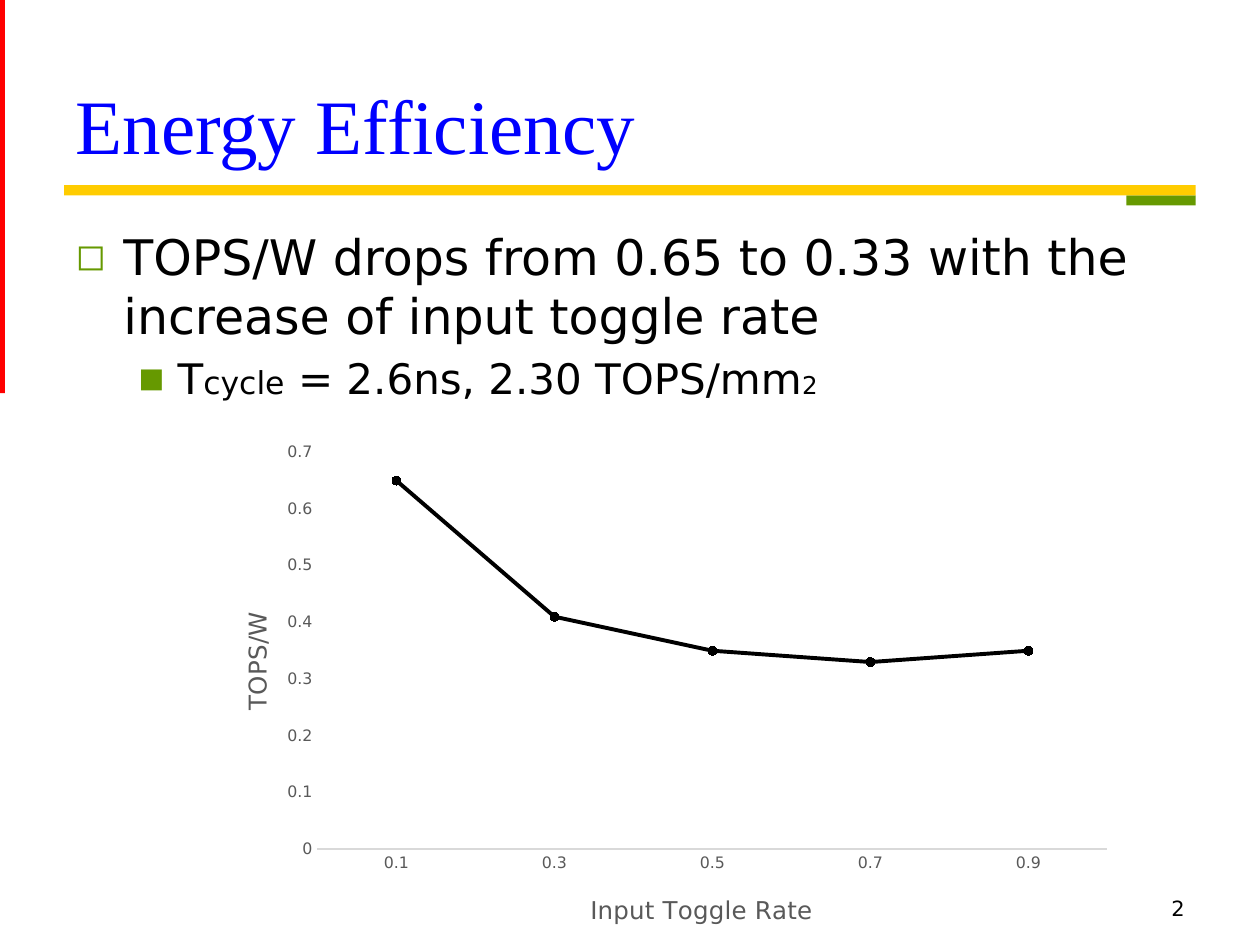
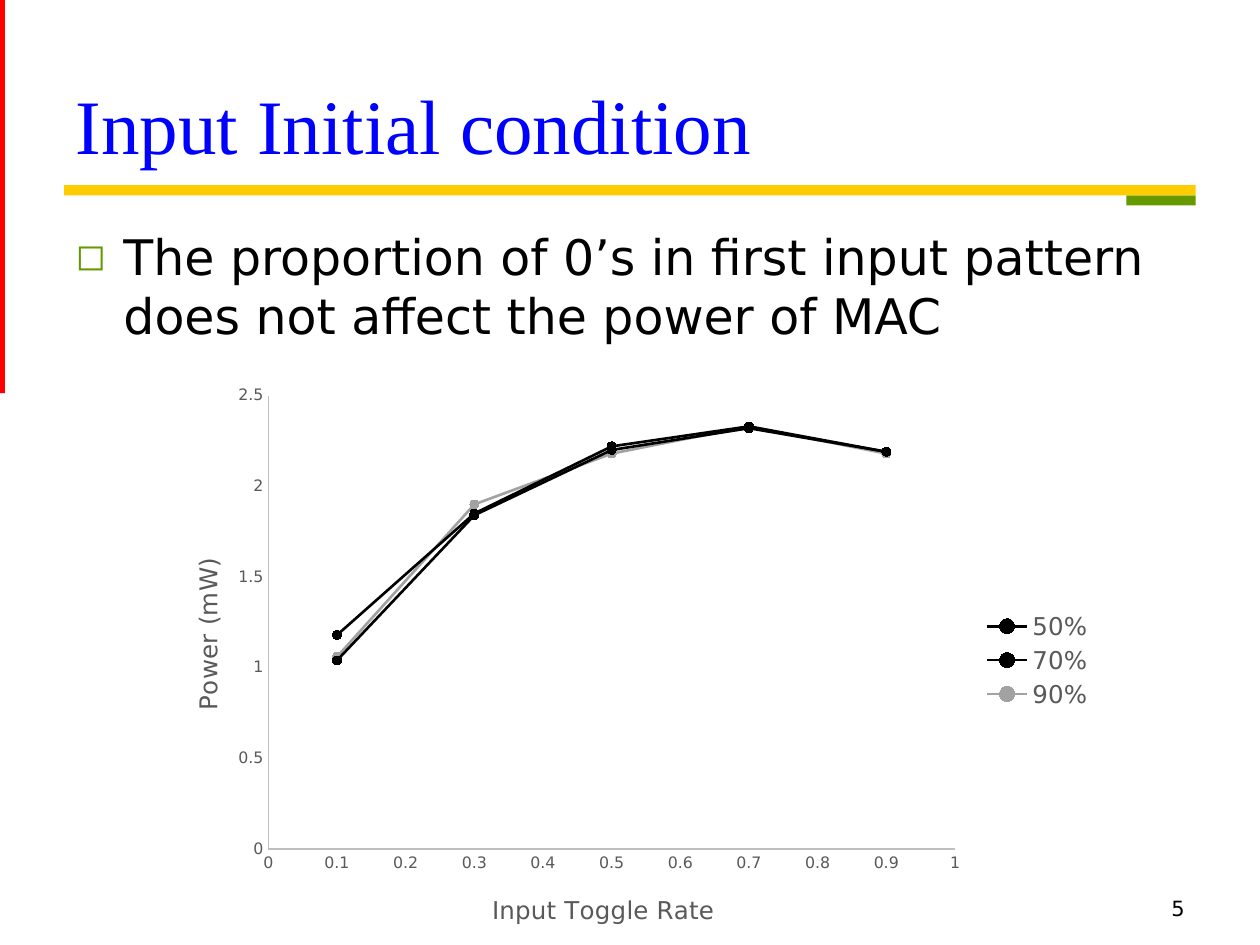
from lxml import etree
from pptx import Presentation
from pptx.chart.data import CategoryChartData, XyChartData
from pptx.dml.color import RGBColor
from pptx.enum.chart import (XL_CHART_TYPE, XL_LEGEND_POSITION, XL_MARKER_STYLE,
                             XL_TICK_MARK)
from pptx.enum.shapes import MSO_SHAPE
from pptx.enum.text import MSO_ANCHOR, MSO_AUTO_SIZE, PP_ALIGN
from pptx.oxml import parse_xml
from pptx.oxml.ns import nsdecls, qn
from pptx.util import Inches, Pt

LINE = XL_CHART_TYPE.LINE_MARKERS
SCATTER = XL_CHART_TYPE.XY_SCATTER_LINES
CIRCLE = XL_MARKER_STYLE.CIRCLE
NO_TICK = XL_TICK_MARK.NONE

BODY_FONT = "DejaVu Sans"
TITLE_FONT = "Times New Roman"
BLACK, BLUE, GREEN, RED, YELLOW = "000000", "0000FF", "669900", "FF0000", "FFCC00"
GRAY, CHART_TEXT = "A2A2A2", "595959"

BANDS = [
    (8.94, 1.55, 0.55, 0.08, GREEN),
    (0, 0, 0.04, 3.12, RED),
    (0.51, 1.47, 8.98, 0.08, YELLOW),
]
# per list level: text size, left margin, hanging indent, bullet, bullet percent
LEVELS = [(28, 0.38, -0.38, "◻", 75), (24, 0.81, -0.31, "■", 65)]

TOGGLE_RATES = [0.1, 0.3, 0.5, 0.7, 0.9]
# boxes are left, top, width, height; title places are left, top
SLIDES = [
    {
        "number": "2",
        "title": "Energy Efficiency",
        "bullets": [
            (0, [("TOPS/W drops from 0.65 to 0.33 with the increase of input toggle rate", 28)]),
            (1, [("T", 24), ("cycle", 18), (" = 2.6ns, 2.30 TOPS/mm", 24), ("2", 14)]),
        ],
        "type": LINE,
        "box": (1.61, 3.44, 7.32, 4.06),
        "plot": (2.52, 3.59, 6.27, 3.15),
        "x_title": ("Input Toggle Rate", 4.65, 7.05),
        "y_title": ("TOPS/W", 1.87, 4.82),
        "y_scale": (0.7, 0.1),
        "axis_lines": ("D9D9D9", None),
        "line_width": 2.25,
        "series": [("Series 1", [0.65, 0.41, 0.35, 0.33, 0.35], BLACK)],
    },
    {
        "number": "5",
        "title": "Input Initial condition",
        "bullets": [
            (0, [("The proportion of 0’s in first input pattern does not affect "
                  "the power of MAC", 28)]),
        ],
        "type": SCATTER,
        "box": (1.22, 2.98, 7.56, 4.52),
        "plot": (2.13, 3.14, 5.45, 3.6),
        "x_title": ("Input Toggle Rate", 3.87, 7.05),
        "y_title": ("Power (mW)", 1.48, 4.39),
        "y_scale": (2.5, 0.5),
        "axis_lines": ("BFBFBF", "BFBFBF"),
        "line_width": 1.5,
        "series": [
            ("50%", [1.18, 1.85, 2.22, 2.33, 2.19], BLACK),
            ("70%", [1.04, 1.84, 2.2, 2.32, 2.19], BLACK),
            ("90%", [1.06, 1.9, 2.18, 2.33, 2.18], GRAY),
        ],
    },
]


def add_text(paragraph, text, size, color=BLACK, font=BODY_FONT):
    run = paragraph.add_run()
    run.text = text
    run.font.size = Pt(size)
    run.font.name = font
    run.font.bold = False
    run.font.color.rgb = RGBColor.from_string(color)


def place_in_chart(element, chart_box, left, top, width=None, height=None):
    """Give a chart part a manual layout from slide positions in inches."""
    chart_left, chart_top, chart_width, chart_height = chart_box
    for old in element.findall(qn("c:layout")):
        element.remove(old)
    layout = parse_xml(f"<c:layout {nsdecls('c')}><c:manualLayout/></c:layout>")
    settings = [("xMode", "edge"), ("yMode", "edge"),
                ("x", (left - chart_left) / chart_width),
                ("y", (top - chart_top) / chart_height)]
    if width:
        settings.insert(0, ("layoutTarget", "inner"))
        settings += [("w", width / chart_width), ("h", height / chart_height)]
    for name, value in settings:
        etree.SubElement(layout[0], qn(f"c:{name}")).set("val", str(value))
    text = element.find(qn("c:tx"))
    if text is None:
        element.insert(0, layout)
    else:
        text.addnext(layout)


presentation = Presentation()
presentation.slide_width = Inches(10)
presentation.slide_height = Inches(7.5)

for content in SLIDES:
    slide = presentation.slides.add_slide(presentation.slide_layouts[1])
    title, body = slide.placeholders

    for left, top, width, height, color in BANDS:
        band = slide.shapes.add_shape(MSO_SHAPE.RECTANGLE, Inches(left), Inches(top),
                                      Inches(width), Inches(height))
        band.shadow.inherit = False
        band.fill.solid()
        band.fill.fore_color.rgb = RGBColor.from_string(color)
        band.line.fill.background()

    for placeholder, box in ((title, (0.5, 0.14, 9, 1.25)), (body, (0.5, 1.75, 9.22, 4.95))):
        placeholder.left, placeholder.top, placeholder.width, placeholder.height = map(Inches, box)
        placeholder.text_frame.auto_size = MSO_AUTO_SIZE.NONE
        placeholder.text_frame.word_wrap = True

    title.text_frame.vertical_anchor = MSO_ANCHOR.BOTTOM
    paragraph = title.text_frame.paragraphs[0]
    paragraph.alignment = PP_ALIGN.LEFT
    paragraph.line_spacing = 0.8
    add_text(paragraph, content["title"], 44, color=BLUE, font=TITLE_FONT)

    for index, (level, runs) in enumerate(content["bullets"]):
        size, margin, indent, bullet, percent = LEVELS[level]
        frame = body.text_frame
        paragraph = frame.add_paragraph() if index else frame.paragraphs[0]
        paragraph.level = level
        paragraph.space_before = Pt(size * 0.2)
        for text, run_size in runs:
            add_text(paragraph, text, run_size)
        properties = paragraph._p.get_or_add_pPr()
        properties.set("marL", str(Inches(margin)))
        properties.set("indent", str(Inches(indent)))
        bullet_color = etree.SubElement(properties, qn("a:buClr"))
        etree.SubElement(bullet_color, qn("a:srgbClr")).set("val", GREEN)
        etree.SubElement(properties, qn("a:buSzPct")).set("val", str(percent * 1000))
        etree.SubElement(properties, qn("a:buFont")).set("typeface", BODY_FONT)
        etree.SubElement(properties, qn("a:buChar")).set("char", bullet)

    number_box = slide.shapes.add_textbox(Inches(7.17), Inches(7.06), Inches(2.33), Inches(0.28))
    number_box.text_frame.word_wrap = True
    paragraph = number_box.text_frame.paragraphs[0]
    paragraph.alignment = PP_ALIGN.RIGHT
    add_text(paragraph, content["number"], 12)

    if content["type"] == LINE:
        chart_data = CategoryChartData()
        chart_data.categories = [str(rate) for rate in TOGGLE_RATES]
        for name, values, _ in content["series"]:
            chart_data.add_series(name, values)
    else:
        chart_data = XyChartData()
        for name, values, _ in content["series"]:
            points = chart_data.add_series(name)
            for rate, value in zip(TOGGLE_RATES, values):
                points.add_data_point(rate, value)

    chart_box = content["box"]
    chart = slide.shapes.add_chart(content["type"], *map(Inches, chart_box), chart_data).chart
    chart.has_title = False
    chart.font.name = BODY_FONT
    chart.font.size = Pt(10)
    chart.font.color.rgb = RGBColor.from_string(BLACK)
    chart.plots[0].vary_by_categories = False
    place_in_chart(chart._chartSpace.chart.plotArea, chart_box, *content["plot"])

    chart.has_legend = len(content["series"]) > 1
    if chart.has_legend:
        chart.legend.position = XL_LEGEND_POSITION.RIGHT
        chart.legend.include_in_layout = False
        chart.legend.font.name = BODY_FONT
        chart.legend.font.size = Pt(14)
        chart.legend.font.color.rgb = RGBColor.from_string(CHART_TEXT)

    for series, (_, _, color) in zip(chart.plots[0].series, content["series"]):
        series.smooth = False
        series.format.line.width = Pt(content["line_width"])
        series.format.line.color.rgb = RGBColor.from_string(color)
        series.marker.style = CIRCLE
        series.marker.size = 5
        series.marker.format.fill.solid()
        series.marker.format.fill.fore_color.rgb = RGBColor.from_string(color)
        series.marker.format.line.color.rgb = RGBColor.from_string(color)

    axes = (chart.category_axis, chart.value_axis)
    axis_titles = (content["x_title"], content["y_title"])
    for axis, axis_title, line_color in zip(axes, axis_titles, content["axis_lines"]):
        text, left, top = axis_title
        axis.has_major_gridlines = False
        axis.major_tick_mark = axis.minor_tick_mark = NO_TICK
        axis.tick_labels.font.name = BODY_FONT
        axis.tick_labels.font.size = Pt(9)
        axis.tick_labels.font.color.rgb = RGBColor.from_string(CHART_TEXT)
        axis.tick_labels.number_format = "General"
        axis.tick_labels.number_format_is_linked = False
        if line_color:
            axis.format.line.width = Pt(0.75)
            axis.format.line.color.rgb = RGBColor.from_string(line_color)
        else:
            axis.format.line.fill.background()
        add_text(axis.axis_title.text_frame.paragraphs[0], text, 14, color=CHART_TEXT)
        place_in_chart(axis.axis_title._element, chart_box, left, top)

    chart.value_axis.axis_title.text_frame._txBody.bodyPr.set("rot", "-5400000")
    chart.value_axis.minimum_scale = 0
    chart.value_axis.maximum_scale, chart.value_axis.major_unit = content["y_scale"]
    if content["type"] == SCATTER:
        chart.category_axis.minimum_scale = 0
        chart.category_axis.maximum_scale = 1
        chart.category_axis.major_unit = 0.1

presentation.save("out.pptx")
